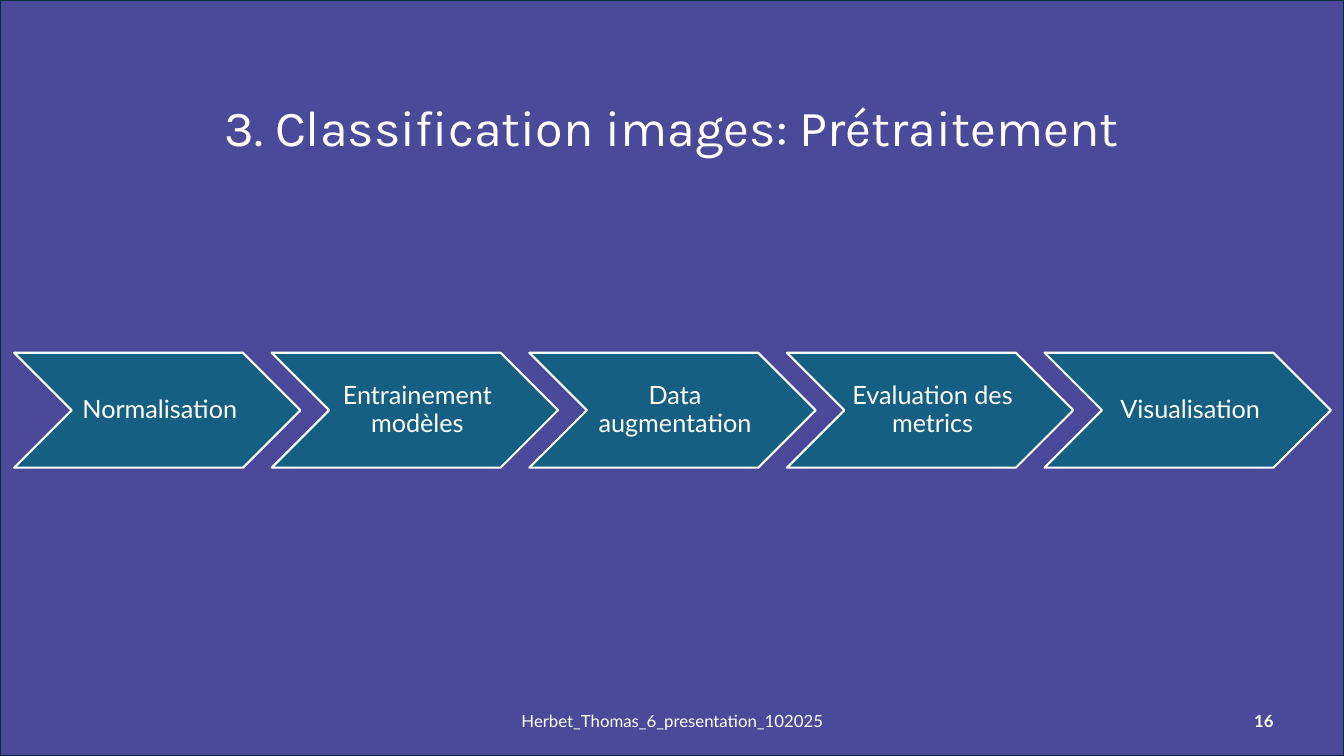
from dataclasses import dataclass

from pptx import Presentation
from pptx.dml.color import RGBColor
from pptx.enum.shapes import MSO_SHAPE
from pptx.enum.text import MSO_ANCHOR, PP_ALIGN
from pptx.shapes.autoshape import Shape
from pptx.slide import Slide
from pptx.util import Inches, Pt

COLORS = {"background": "4B4A9A", "frame": "092A39", "step": "156082", "white": "FFFFFF"}
STEPS = ["Normalisation", "Entrainement modèles", "Data augmentation",
         "Evaluation des metrics", "Visualisation"]
STEP_LEFT, STEP_TOP, STEP_PITCH = 0.14, 3.5, 2.555
STEP_WIDTH, STEP_HEIGHT = 2.84, 1.14


@dataclass
class Label:
    text: str
    left: float
    top: float
    width: float
    height: float
    size: int
    font: str = "Lato"
    bold: bool = False
    align: PP_ALIGN = PP_ALIGN.CENTER
    anchor: MSO_ANCHOR = MSO_ANCHOR.MIDDLE


def write_text(shape: Shape, text: str, size: int, font: str = "Lato", bold: bool = False,
               align: PP_ALIGN = PP_ALIGN.CENTER,
               anchor: MSO_ANCHOR = MSO_ANCHOR.MIDDLE) -> None:
    text_frame = shape.text_frame
    text_frame.text = text
    text_frame.word_wrap = True
    text_frame.vertical_anchor = anchor
    paragraph = text_frame.paragraphs[0]
    paragraph.alignment = align
    run_font = paragraph.runs[0].font
    run_font.size = Pt(size)
    run_font.name = font
    run_font.bold = bold
    run_font.color.rgb = RGBColor.from_string(COLORS["white"])


def add_label(slide: Slide, label: Label) -> None:
    box = slide.shapes.add_textbox(Inches(label.left), Inches(label.top),
                                   Inches(label.width), Inches(label.height))
    write_text(box, label.text, label.size, label.font, label.bold, label.align, label.anchor)


def add_filled_shape(slide: Slide, kind: MSO_SHAPE, left: float, top: float, width: float,
                     height: float, fill: str, line: str) -> Shape:
    shape = slide.shapes.add_shape(kind, Inches(left), Inches(top),
                                   Inches(width), Inches(height))
    shape.shadow.inherit = False
    shape.fill.solid()
    shape.fill.fore_color.rgb = RGBColor.from_string(COLORS[fill])
    shape.line.color.rgb = RGBColor.from_string(COLORS[line])
    shape.line.width = Pt(1.5)
    return shape


def add_step(slide: Slide, index: int, text: str) -> None:
    chevron = add_filled_shape(slide, MSO_SHAPE.CHEVRON, STEP_LEFT + index * STEP_PITCH,
                               STEP_TOP, STEP_WIDTH, STEP_HEIGHT, "step", "white")
    write_text(chevron, text, 18)
    text_frame = chevron.text_frame
    text_frame.margin_left = Inches(0.08)
    text_frame.margin_top = text_frame.margin_right = text_frame.margin_bottom = Inches(0.03)
    text_frame.paragraphs[0].line_spacing = 0.9


def main() -> None:
    presentation = Presentation()
    presentation.slide_width = Inches(13.33)
    presentation.slide_height = Inches(7.5)
    slide = presentation.slides.add_slide(presentation.slide_layouts[6])

    # Framed background
    add_filled_shape(slide, MSO_SHAPE.RECTANGLE, 0, 0, 13.33, 7.5, "background", "frame")

    # Title, footer and slide number
    labels = [
        Label("3. Classification images: Prétraitement", 1.75, 0.9, 9.83, 0.71, 36, "Karla",
              anchor=MSO_ANCHOR.TOP),
        Label("Herbet_Thomas_6_presentation_102025", 4.42, 6.95, 4.5, 0.4, 12),
        Label("16", 9.73, 6.95, 3, 0.4, 12, bold=True, align=PP_ALIGN.RIGHT),
    ]
    for label in labels:
        add_label(slide, label)

    # Process steps
    for index, text in enumerate(STEPS):
        add_step(slide, index, text)

    presentation.save("out.pptx")


if __name__ == "__main__":
    main()
